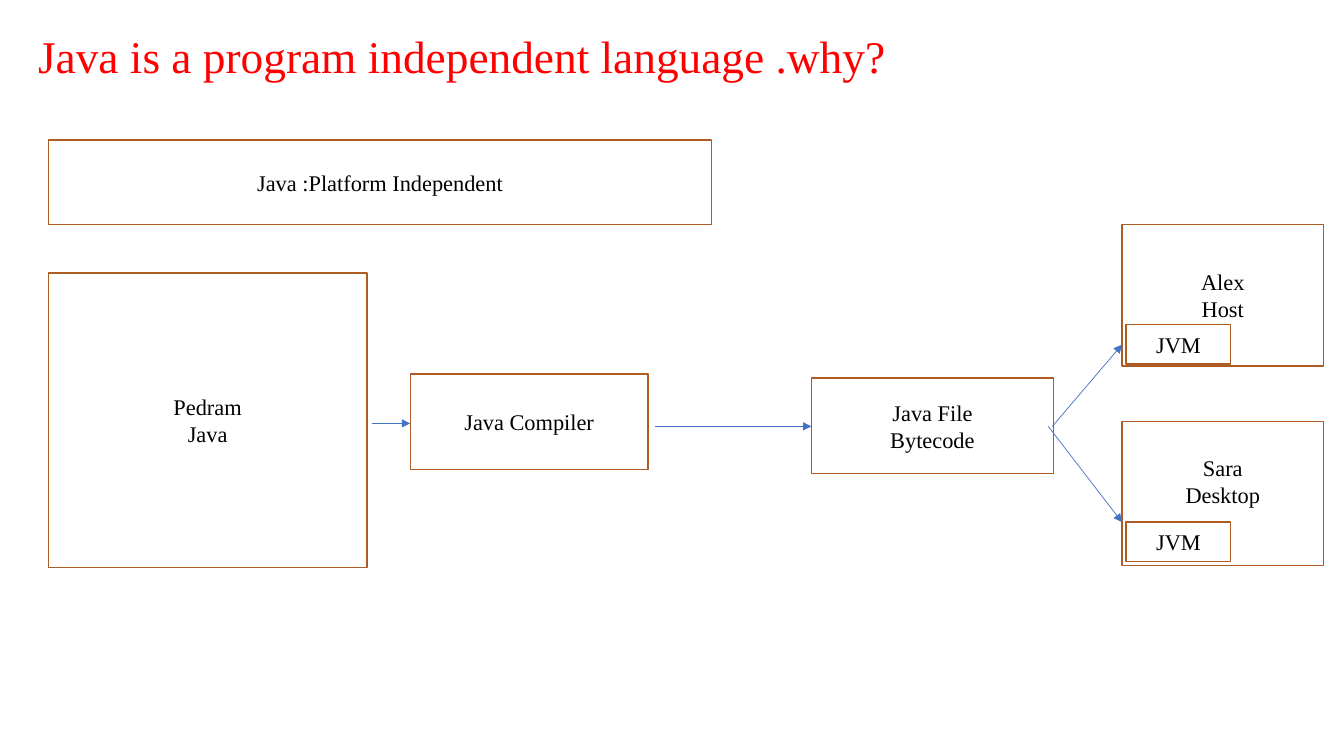
from lxml.etree import SubElement
from pptx import Presentation
from pptx.dml.color import RGBColor
from pptx.enum.shapes import MSO_CONNECTOR as Connector, MSO_SHAPE as Shape
from pptx.enum.text import MSO_ANCHOR as Anchor, PP_ALIGN as Align
from pptx.oxml.ns import qn
from pptx.util import Inches, Pt

RED = RGBColor(0xFF, 0x00, 0x00)
BLACK = RGBColor(0x00, 0x00, 0x00)
WHITE = RGBColor(0xFF, 0xFF, 0xFF)
BROWN = RGBColor(0xAF, 0x5C, 0x24)
BLUE = RGBColor(0x44, 0x72, 0xC4)

deck = Presentation()
deck.slide_width = Inches(13.33)
deck.slide_height = Inches(7.5)
page = deck.slides.add_slide(deck.slide_layouts[6])


def place(*shares):
    """Turn alternating x and y percentages of the slide into lengths."""
    sides = (deck.slide_width, deck.slide_height)
    return [int(sides[i % 2] * share / 100) for i, share in enumerate(shares)]


def write(box, text, size=16, color=BLACK, align=Align.CENTER, spacing=1.0):
    frame = box.text_frame
    frame.word_wrap = True
    frame.vertical_anchor = Anchor.MIDDLE
    for i, line in enumerate(text.split("\n")):
        para = frame.paragraphs[0] if i == 0 else frame.add_paragraph()
        para.alignment = align
        para.line_spacing = spacing
        span = para.add_run()
        span.text = line
        span.font.name = "Times New Roman"
        span.font.size = Pt(size)
        span.font.color.rgb = color


title = page.shapes.add_textbox(*place(2.1, 2.13, 95.55, 11.2))
write(title, "Java is a program independent language .why?",
      size=32.4, color=RED, align=Align.LEFT, spacing=0.9)

# Left, top, width and height in percent, then the label
left_edge, machine_left, jvm_left = 3.6, 83.48, 83.78
steps = [
    (left_edge, 18.53, 49.35, 11.2, "Java :Platform Independent"),
    (left_edge, 36.13, 23.7, 38.93, "Pedram\nJava"),
    (30.52, 49.47, 17.7, 12.67, "Java Compiler"),
    (60.38, 50, 18, 12.67, "Java File\nBytecode"),
    (machine_left, 29.73, 15, 18.67, "Alex\nHost"),
    (machine_left, 55.73, 15, 19.07, "Sara\nDesktop"),
    (jvm_left, 42.93, 7.8, 5.2, "JVM"),
    (jvm_left, 69.07, 7.8, 5.2, "JVM"),
]
for *area, label in steps:
    box = page.shapes.add_shape(Shape.RECTANGLE, *place(*area))
    box.shadow.inherit = False
    box.fill.solid()
    box.fill.fore_color.rgb = WHITE
    box.line.color.rgb = BROWN
    box.line.width = Pt(1)
    write(box, label)
    if label.startswith("Sara"):
        box.text_frame.margin_bottom = Inches(0.3)  # room for the JVM box

# Start and end points in percent
arrows = [
    (27.68, 56, 30.52, 56),
    (48.75, 56.4, 60.38, 56.4),
    (78.3, 56.4, machine_left, 45.6),
    (78, 56.4, machine_left, 69.07),
]
for ends in arrows:
    arrow = page.shapes.add_connector(Connector.STRAIGHT, *place(*ends))
    arrow.line.color.rgb = BLUE
    arrow.line.width = Pt(0.5)
    SubElement(arrow.line._get_or_add_ln(), qn("a:tailEnd"), type="triangle")
    SubElement(arrow._element.spPr, qn("a:effectLst"))

deck.save("out.pptx")
